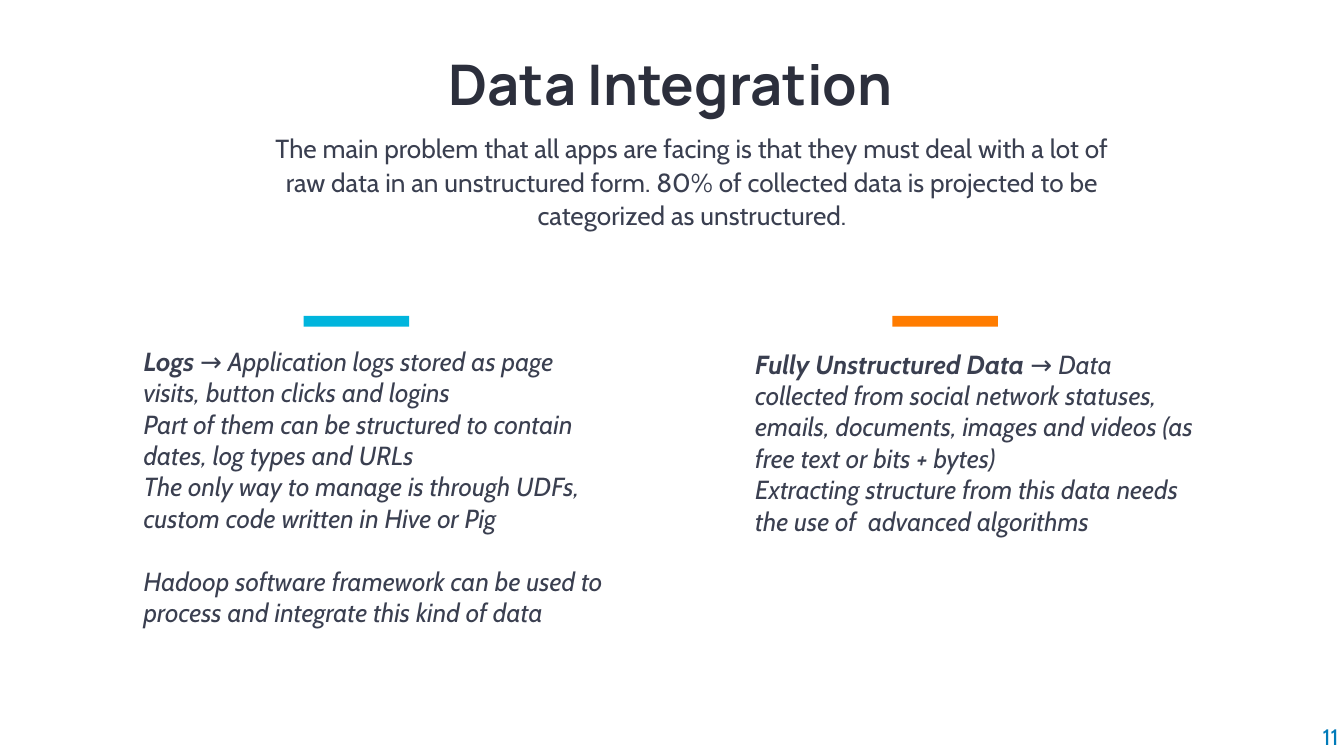
from dataclasses import dataclass

from pptx import Presentation
from pptx.dml.color import RGBColor
from pptx.enum.shapes import MSO_SHAPE
from pptx.enum.text import MSO_ANCHOR, PP_ALIGN
from pptx.slide import Slide
from pptx.util import Pt

RECT = MSO_SHAPE.RECTANGLE
TOP, MID, BASE = MSO_ANCHOR.TOP, MSO_ANCHOR.MIDDLE, MSO_ANCHOR.BOTTOM
LEFT, MIDST, RIGHT = PP_ALIGN.LEFT, PP_ALIGN.CENTER, PP_ALIGN.RIGHT

WHITE = RGBColor(0xFF, 0xFF, 0xFF)
INK = RGBColor(0x2C, 0x2F, 0x3C)
SLATE = RGBColor(0x3A, 0x3F, 0x50)
BLUE = RGBColor(0x00, 0x7B, 0xB9)
CYAN = RGBColor(0x00, 0xB5, 0xDD)
ORANGE = RGBColor(0xFF, 0x7C, 0x00)

SCALE = 4572
WIDE, HIGH = 2000, 1125
PAD = 10
BAR_TOP, BAR_WIDE, BAR_HIGH = 470, 157, 16


@dataclass(frozen=True)
class Box:
    left: int
    top: int
    width: int
    height: int

    def emu(self) -> list[int]:
        return [n * SCALE for n in (self.left, self.top, self.width, self.height)]


@dataclass(frozen=True)
class Para:
    text: str
    lead: str = ""
    before: int = 0


@dataclass(frozen=True)
class Style:
    size: int = 14
    color: RGBColor = SLATE
    name: str = "Cabin"
    bold: bool = False
    italic: bool = False
    align: PP_ALIGN = LEFT
    anchor: MSO_ANCHOR = TOP
    pad: int = PAD
    line: float = 1.0
    indent: int = 0


@dataclass(frozen=True)
class Column:
    box: Box
    bar: int
    color: RGBColor
    paras: tuple[Para, ...]


TITLE = Style(30, INK, "Manrope", bold=True, align=MIDST, anchor=MID, pad=0, line=1.1)
INTRO = Style(align=MIDST, line=1.07, indent=100)
BODY = Style(italic=True)
NUMBER = Style(12, BLUE, align=RIGHT, anchor=BASE, pad=0)

COLUMNS = (
    Column(Box(194, 504, 734, 178), 452, CYAN, (
        Para("→ Application logs stored as page visits, button clicks and logins", "Logs "),
        Para("Part of them can be structured to contain dates, log types and URLs"),
        Para("The only way to manage is through UDFs, custom code written in Hive or Pig"),
        Para("Hadoop software framework can be used to process and integrate this kind of data",
             before=17),
    )),
    Column(Box(1104, 508, 704, 196), 1328, ORANGE, (
        Para("→ Data collected from social network statuses, emails, documents, images "
             "and videos (as free text or bits + bytes)", "Fully Unstructured Data "),
        Para("Extracting structure from this data needs the use of  advanced algorithms"),
    )),
)


def apply(target: object, values: dict[str, object]) -> None:
    for key, value in values.items():
        setattr(target, key, value)


def write(slide: Slide, box: Box, style: Style, paras: tuple[Para, ...]) -> None:
    frame = slide.shapes.add_textbox(*box.emu()).text_frame
    apply(frame, {
        "word_wrap": True,
        "vertical_anchor": style.anchor,
        "margin_left": 2 * style.pad * SCALE,
        "margin_right": 2 * style.pad * SCALE,
        "margin_top": style.pad * SCALE,
        "margin_bottom": style.pad * SCALE,
    })
    for index, item in enumerate(paras):
        para = frame.add_paragraph() if index else frame.paragraphs[0]
        apply(para, {"alignment": style.align, "line_spacing": style.line})
        if item.before:
            para.space_before = Pt(item.before)
        if style.indent:
            para._p.get_or_add_pPr().set("marL", str(style.indent * SCALE))
        for text, bold in ((item.lead, True), (item.text, style.bold)):
            if text:
                run = para.add_run()
                run.text = text
                apply(run.font, {
                    "name": style.name,
                    "size": Pt(style.size),
                    "bold": bold,
                    "italic": style.italic,
                })
                run.font.color.rgb = style.color


def draw(slide: Slide, column: Column) -> None:
    write(slide, column.box, BODY, column.paras)
    bar = slide.shapes.add_shape(RECT, *Box(column.bar, BAR_TOP, BAR_WIDE, BAR_HIGH).emu())
    bar.shadow.inherit = False
    bar.fill.solid()
    bar.fill.fore_color.rgb = column.color
    bar.line.fill.background()


def main() -> None:
    deck = Presentation()
    apply(deck, {"slide_width": WIDE * SCALE, "slide_height": HIGH * SCALE})
    slide = deck.slides.add_slide(deck.slide_layouts[6])
    slide.background.fill.solid()
    slide.background.fill.fore_color.rgb = WHITE
    write(slide, Box(1892, 1014, 100, 102), NUMBER, (Para("11"),))
    write(slide, Box(61, 0, 1874, 238), TITLE, (Para("Data Integration"),))
    write(slide, Box(276, 184, 1408, 340), INTRO, (
        Para("The main problem that all apps are facing is that they must deal with a lot of "
             "raw data in an unstructured form. 80% of collected data is projected to be "
             "categorized as unstructured."),
    ))
    for column in COLUMNS:
        draw(slide, column)
    deck.save("out.pptx")


if __name__ == "__main__":
    main()
